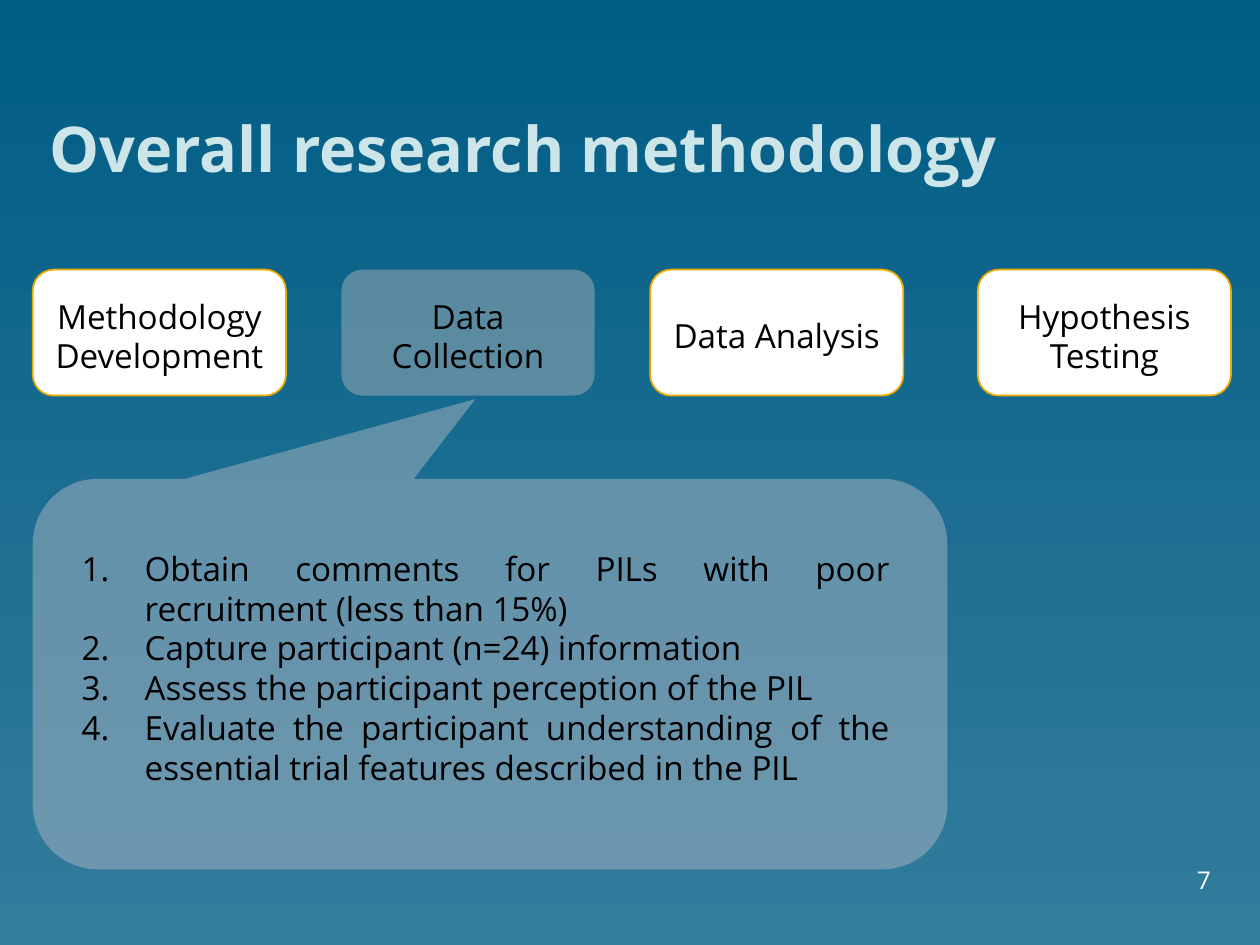
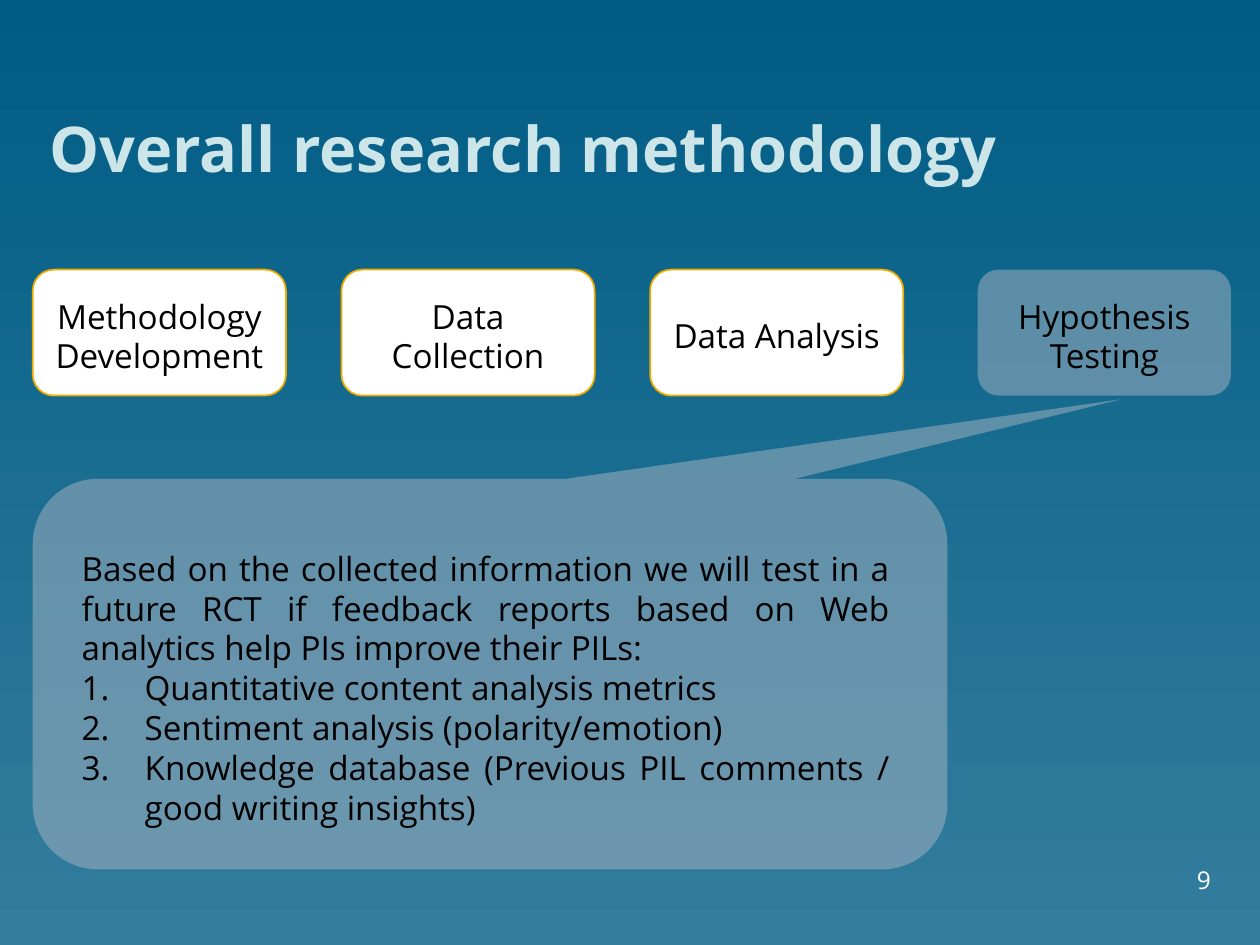
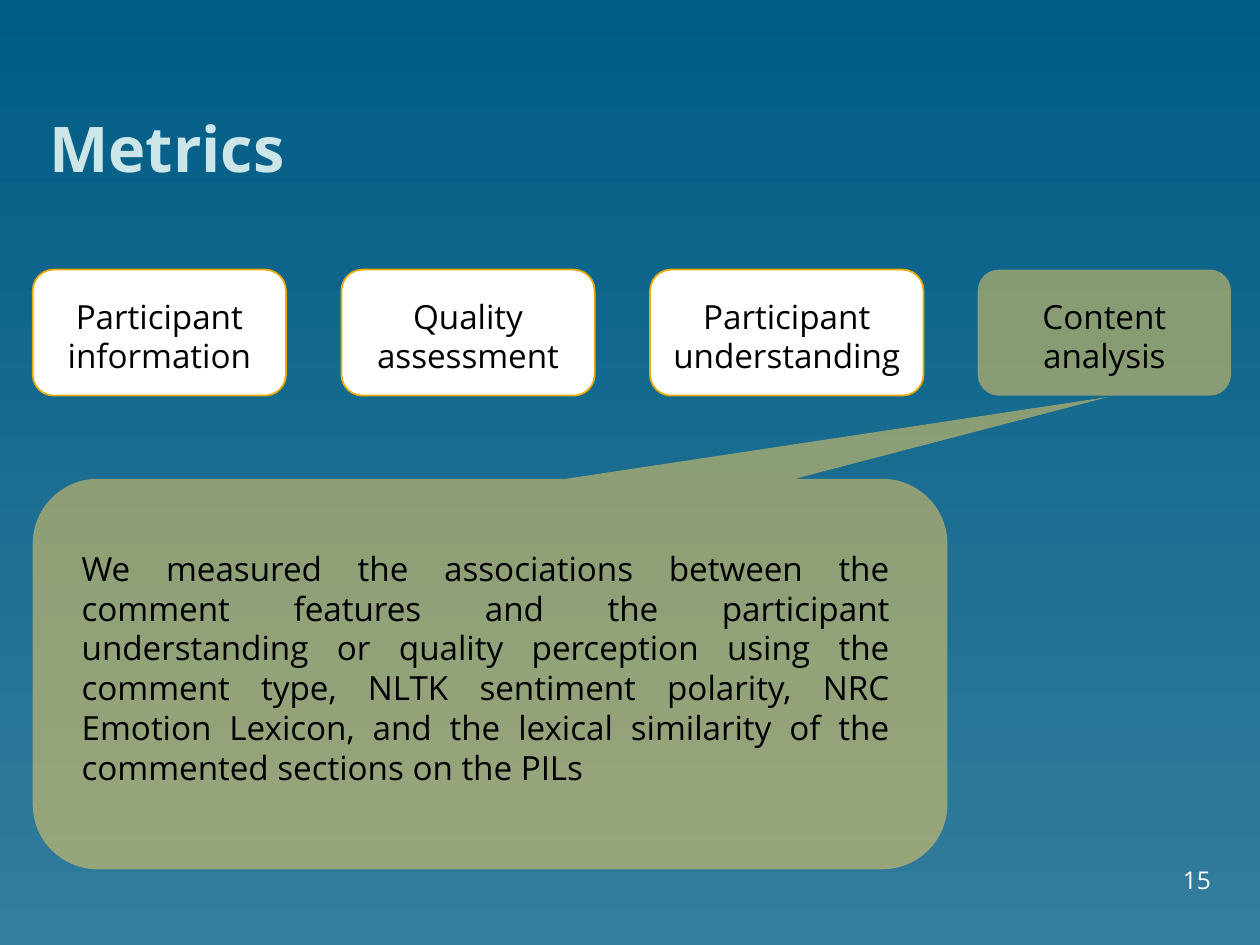
from dataclasses import dataclass

from lxml import etree
from pptx import Presentation
from pptx import util as u
from pptx.dml.color import RGBColor
from pptx.enum import shapes, text
from pptx.oxml.ns import qn

FONT = "Open Sans"
BLACK, WHITE, AMBER, ICE = "000000", "FFFFFF", "F0AB00", "CCE5E9"
SILVER, GREY, GOLD = "A4AEB5", "AAB5C2", "FFD05D"
BACKGROUND = ("005C84", "337D9D")
BODY_SIZE = 19
CARD_WIDTH, CARD_PITCH = 2.01, 2.45


@dataclass
class Box:
    """A rectangle in inches."""

    left: float
    top: float
    width: float
    height: float

    def inset(self, left, top, right, bottom):
        """Return the box reduced by a margin on each side."""
        return Box(self.left + left, self.top + top,
                   self.width - left - right, self.height - top - bottom)

    def lengths(self):
        """Return the four lengths for a shape call."""
        return [u.Inches(n) for n in (self.left, self.top, self.width, self.height)]


PAGE = Box(0, 0, 10, 7.5)
TITLE = Box(0.39, 0, 9.22, 1.47)
NUMBER = Box(7.52, 6.9, 2.09, 0.2)
CARDS = Box(0.26, 2.14, 9.51, 1)
CALLOUT = Box(0.26, 3.8, 7.26, 3.1)

METHOD_STEPS = ["Methodology Development", "Data Collection", "Data Analysis",
                "Hypothesis Testing"]
METRIC_GROUPS = ["Participant information", "Quality assessment",
                 "Participant understanding", "Content analysis"]

SLIDES = [
    dict(title="Overall research methodology", number=7, labels=METHOD_STEPS,
         active=1, card_color=SILVER, callout_color=GREY, tip=(-0.016, -0.704),
         steps=["Obtain comments for PILs with poor recruitment (less than 15%)",
                "Capture participant (n=24) information",
                "Assess the participant perception of the PIL",
                "Evaluate the participant understanding of the essential trial "
                "features described in the PIL"]),
    dict(title="Overall research methodology", number=9, labels=METHOD_STEPS,
         active=3, card_color=GREY, callout_color=GREY, tip=(0.691, -0.704),
         intro=["Based on the collected information we will test in a future RCT if "
                "feedback reports based on Web analytics help PIs improve their PILs:"],
         steps=["Quantitative content analysis metrics",
                "Sentiment analysis (polarity/emotion)",
                "Knowledge database (Previous PIL comments / good writing insights)"]),
    dict(title="Metrics", number=15, labels=METRIC_GROUPS,
         active=3, card_color=GOLD, callout_color=GOLD, tip=(0.677, -0.71),
         widths={2: 2.17},
         intro=["We measured the associations between the comment features and the "
                "participant understanding or quality perception using the comment "
                "type, NLTK sentiment polarity, NRC Emotion Lexicon, and the lexical "
                "similarity of the commented sections on the PILs"]),
]


def color(value):
    """Turn a hex string into a colour."""
    return RGBColor.from_string(value)


def add_number(paragraph, indent=0.5):
    """Give a paragraph an automatic number with a hanging indent."""
    properties = paragraph._p.get_or_add_pPr()
    properties.set("marL", str(u.Inches(indent)))
    properties.set("indent", str(-u.Inches(indent)))
    etree.SubElement(properties, qn("a:buAutoNum"), type="arabicPeriod")


def write(shape, lines, size=BODY_SIZE, fill=BLACK, bold=False, align=text.PP_ALIGN.LEFT,
          anchor=text.MSO_ANCHOR.TOP, margins=(0.1, 0.05, 0.1, 0.05), numbered_from=None):
    """Fill a shape with formatted paragraphs, numbered from the given index."""
    frame = shape.text_frame
    frame.word_wrap = True
    frame.vertical_anchor = anchor
    (frame.margin_left, frame.margin_top,
     frame.margin_right, frame.margin_bottom) = [u.Inches(n) for n in margins]
    for index, line in enumerate(lines):
        paragraph = frame.add_paragraph() if index else frame.paragraphs[0]
        paragraph.alignment = align
        if numbered_from is not None and index >= numbered_from:
            add_number(paragraph)
        run = paragraph.add_run()
        run.text = line
        run.font.name, run.font.size, run.font.bold = FONT, u.Pt(size), bold
        run.font.color.rgb = color(fill)


def add_panel(slide, kind, box, fill, line=None, opacity=100):
    """Add a flat preset shape, see-through when opacity is below 100."""
    shape = slide.shapes.add_shape(kind, *box.lengths())
    shape.shadow.inherit = False
    shape.fill.solid()
    shape.fill.fore_color.rgb = color(fill)
    if opacity < 100:
        fill_color = shape._element.spPr.find(qn("a:solidFill"))[0]
        etree.SubElement(fill_color, qn("a:alpha"), val=str(opacity * 1000))
    if line:
        shape.line.color.rgb = color(line)
        shape.line.width = u.Pt(1)
    else:
        shape.line.fill.background()
    return shape


def add_frame(slide, title, number):
    """Paint the background and add the title and slide number."""
    fill = slide.background.fill
    fill.gradient()
    fill.gradient_angle = 270
    for position, (stop, value) in enumerate(zip(fill.gradient_stops, BACKGROUND)):
        stop.color.rgb = color(value)
        stop.position = position
    shared = dict(anchor=text.MSO_ANCHOR.BOTTOM, margins=(0, 0, 0, 0))
    write(slide.shapes.add_textbox(*TITLE.lengths()), [title],
          size=36, fill=ICE, bold=True, **shared)
    write(slide.shapes.add_textbox(*NUMBER.lengths()), [str(number)],
          size=14, fill=WHITE, align=text.PP_ALIGN.RIGHT, **shared)


def add_cards(slide, box, labels, active, active_color, widths):
    """Add the row of cards, the last flush right and the active one tinted."""
    for index, label in enumerate(labels):
        width = widths.get(index, CARD_WIDTH)
        is_last = index == len(labels) - 1
        offset = box.width - width if is_last else index * CARD_PITCH
        look = (dict(fill=active_color, opacity=50) if index == active
                else dict(fill=WHITE, line=AMBER))
        card = add_panel(slide, shapes.MSO_SHAPE.ROUNDED_RECTANGLE,
                         Box(box.left + offset, box.top, width, box.height), **look)
        write(card, [label], align=text.PP_ALIGN.CENTER,
              anchor=text.MSO_ANCHOR.MIDDLE, margins=(0.1, 0.05, 0.1, 0))


def add_callout(slide, box, fill, tip, intro, steps):
    """Add the callout pointing at the active card, with its text on top."""
    callout = add_panel(slide, shapes.MSO_SHAPE.ROUNDED_RECTANGULAR_CALLOUT,
                        box, fill, opacity=50)
    callout.adjustments[0], callout.adjustments[1] = tip
    body = slide.shapes.add_textbox(*box.inset(0.29, 0.5, 0.36, 0.26).lengths())
    write(body, intro + steps, align=text.PP_ALIGN.JUSTIFY, numbered_from=len(intro))


def add_step_slide(presentation, title, number, labels, active, card_color,
                   callout_color, tip, intro=(), steps=(), widths=None):
    """Add a slide that explains one card of a row in a callout."""
    slide = presentation.slides.add_slide(presentation.slide_layouts[6])
    add_frame(slide, title, number)
    add_cards(slide, CARDS, labels, active, card_color, widths or {})
    add_callout(slide, CALLOUT, callout_color, tip, list(intro), list(steps))


def main():
    """Build and save the presentation."""
    presentation = Presentation()
    presentation.slide_width = u.Inches(PAGE.width)
    presentation.slide_height = u.Inches(PAGE.height)
    for content in SLIDES:
        add_step_slide(presentation, **content)
    presentation.save("out.pptx")


if __name__ == "__main__":
    main()
